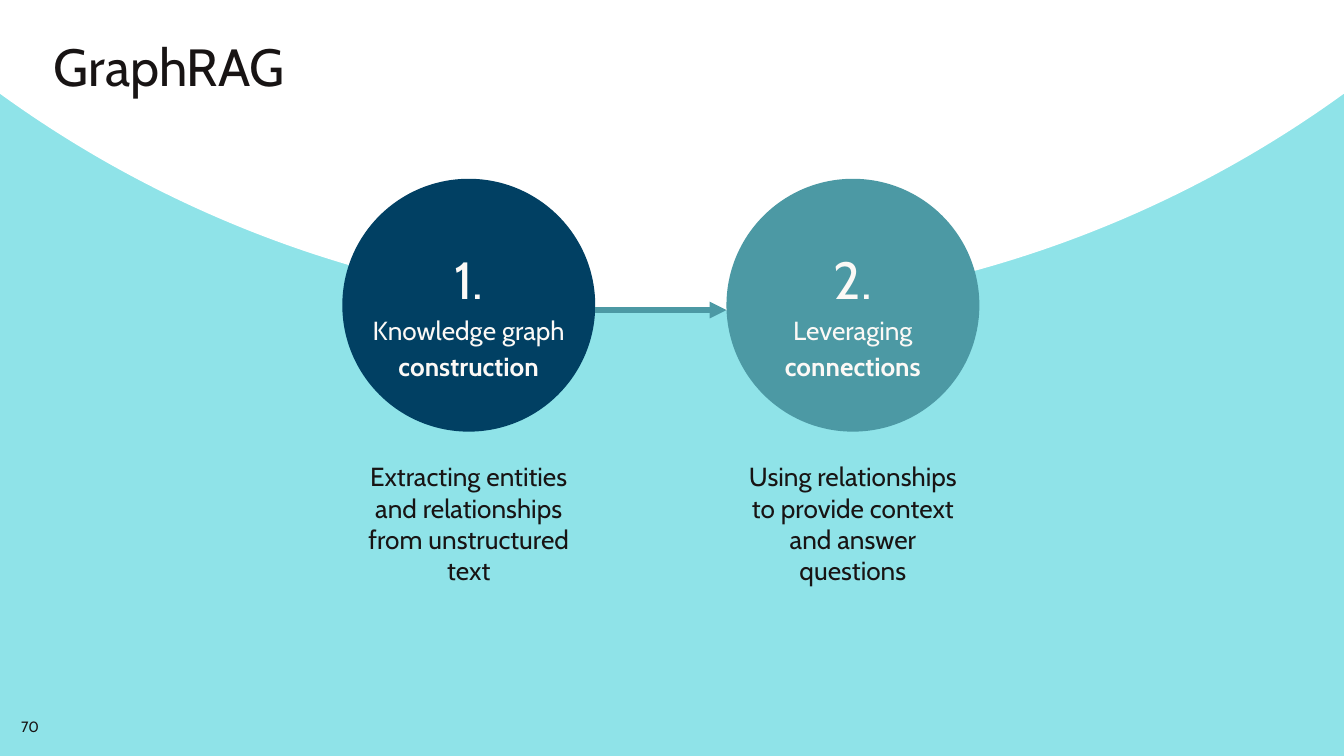
import pptx
import pptx.util
import pptx.dml.color
import pptx.enum.shapes
import pptx.enum.text
import pptx.oxml
import pptx.oxml.ns

Cm = pptx.util.Cm
Pt = pptx.util.Pt
Align = pptx.enum.text.PP_ALIGN
Anchor = pptx.enum.text.MSO_ANCHOR
Kind = pptx.enum.shapes.MSO_SHAPE

FONT = "Cabin"
COLORS = {
    "sky": "8FE3E8",
    "white": "FFFFFF",
    "ink": "181414",
    "navy": "014063",
    "teal": "4C99A4",
    "cream": "FCF9F6",
}
STEPS = [
    ("1.", "Knowledge graph ", "construction", "navy",
     "Extracting entities and relationships from unstructured text"),
    ("2.", "Leveraging ", "connections", "teal",
     "Using relationships to provide context and answer questions"),
]


def color(name):
    """Return the named colour as an RGB value."""
    return pptx.dml.color.RGBColor.from_string(COLORS[name])


def write(frame, lines, tint, align=Align.CENTER, anchor=Anchor.TOP, space=None):
    """Fill a text frame; each line is a list of (text, size, bold) runs."""
    frame.word_wrap = True
    frame.auto_size = pptx.enum.text.MSO_AUTO_SIZE.NONE
    frame.vertical_anchor = anchor
    frame.margin_left = frame.margin_right = 0
    frame.margin_top = frame.margin_bottom = 0
    for i, line in enumerate(lines):
        para = frame.add_paragraph() if i else frame.paragraphs[0]
        para.alignment = align
        if space:
            para.line_spacing = space
        for text, size, bold in line:
            run = para.add_run()
            run.text = text
            run.font.name = FONT
            run.font.size = Pt(size)
            run.font.bold = bold
            run.font.color.rgb = color(tint)


def add_form(slide, kind, box, tint):
    """Add a flat filled shape without an outline."""
    form = slide.shapes.add_shape(kind, *box)
    form.shadow.inherit = False
    form.fill.solid()
    form.fill.fore_color.rgb = color(tint)
    form.line.fill.background()
    return form


def add_back(slide, left, top, size):
    """Colour the background and lay the white arc behind the title."""
    fill = slide.background.fill
    fill.solid()
    fill.fore_color.rgb = color("sky")
    arc = add_form(slide, Kind.CHORD, (left, top, size, size), "white")
    arc.adjustments[0] = 22.03
    arc.adjustments[1] = 86.46
    slide.shapes.title._element.addprevious(arc._element)


def add_title(slide, left, top, width, height):
    """Move and format the title placeholder."""
    title = slide.shapes.title
    title.left, title.top, title.width, title.height = left, top, width, height
    write(title.text_frame, [[("GraphRAG", 28, False)]], "ink", Align.LEFT)


def add_step(slide, left, top, size, step):
    """Draw a numbered circle with its note below; return the label box."""
    number, lead, key, tint, note = step
    add_form(slide, Kind.OVAL, (left, top, size, size), tint)
    label = slide.shapes.add_textbox(left, top + Cm(0.74), size, Cm(3.48))
    lines = [[(number, 28, False)], [(lead, 14, False), (key, 14, True)]]
    write(label.text_frame, lines, "cream", anchor=Anchor.MIDDLE, space=1.15)
    inset = Cm(0.29)
    below = slide.shapes.add_textbox(
        left + inset, top + Cm(5.33), size - 2 * inset, Cm(4.5))
    write(below.text_frame, [[(note, 14, False)]], "ink")
    return label


def add_arrow(slide, start, end):
    """Join two labels from right side to left side with an arrow."""
    arrow = slide.shapes.add_connector(
        pptx.enum.shapes.MSO_CONNECTOR.STRAIGHT, 0, 0, 0, 0)
    arrow.begin_connect(start, 3)
    arrow.end_connect(end, 1)
    arrow.line.width = Pt(3)
    arrow.line.color.rgb = color("teal")
    tail = pptx.oxml.parse_xml(
        "<a:tailEnd %s type='triangle'/>" % pptx.oxml.ns.nsdecls("a"))
    arrow.line._get_or_add_ln().append(tail)
    flat = pptx.oxml.parse_xml("<a:effectLst %s/>" % pptx.oxml.ns.nsdecls("a"))
    arrow._element.spPr.append(flat)


def add_steps(slide, left, top, size, pitch):
    """Place the steps at an equal pitch and link each to the next."""
    labels = [add_step(slide, left + i * pitch, top, size, step)
              for i, step in enumerate(STEPS)]
    for start, end in zip(labels, labels[1:]):
        add_arrow(slide, start, end)


def add_page(slide, left, top, size):
    """Write the page number in the corner."""
    page = slide.shapes.add_textbox(left, top, size, size)
    write(page.text_frame, [[("70", 8, False)]], "ink", Align.RIGHT)


def main():
    """Build the slide and save it."""
    deck = pptx.Presentation()
    deck.slide_width, deck.slide_height = Cm(25.4), Cm(14.29)
    slide = deck.slides.add_slide(deck.slide_layouts.get_by_name("Title Only"))
    add_back(slide, Cm(-8.94), Cm(-37.39), Cm(43.28))
    add_title(slide, Cm(1.02), Cm(0.64), Cm(21.84), Cm(1.52))
    add_steps(slide, Cm(6.47), Cm(3.38), Cm(4.78), Cm(7.26))
    add_page(slide, Cm(0), Cm(13.56), Cm(0.74))
    deck.save("out.pptx")


if __name__ == "__main__":
    main()
